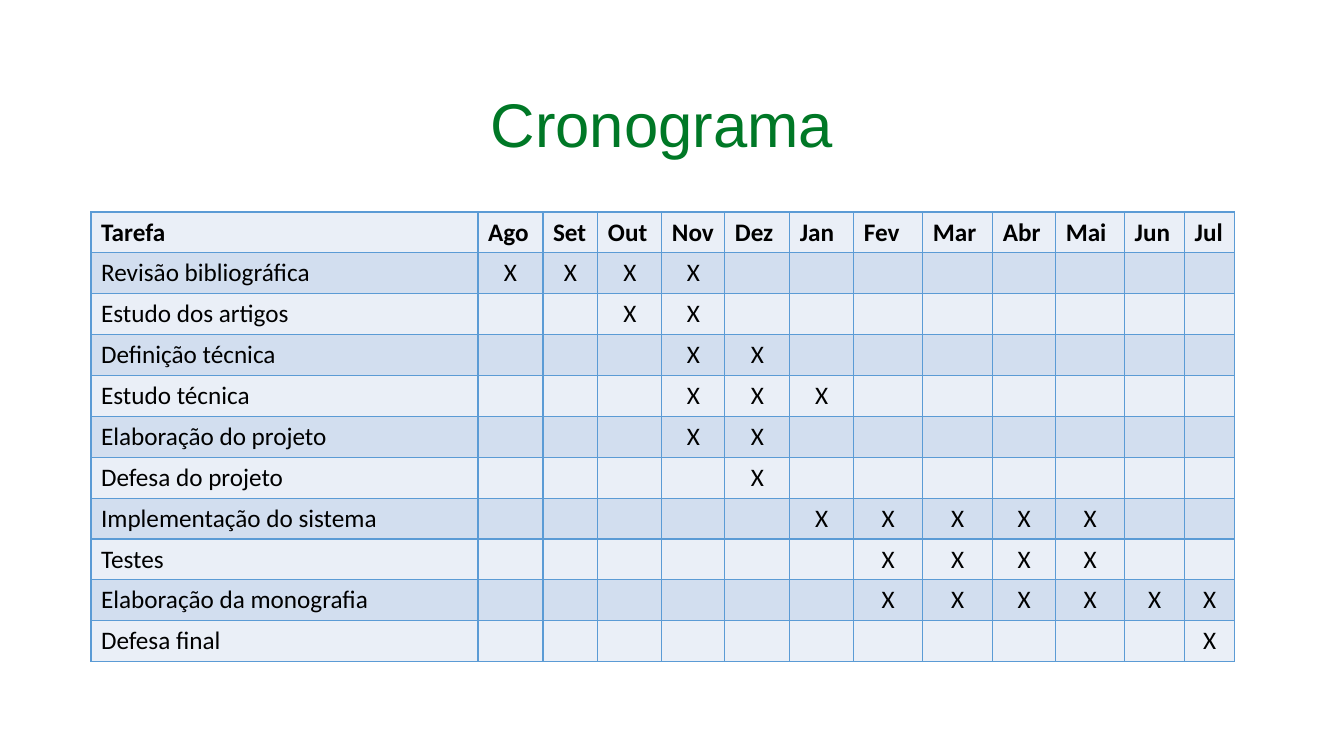
import pptx
import pptx.dml.color
import pptx.enum.text
import pptx.oxml
import pptx.oxml.ns
import pptx.util

TITLE = "Cronograma"
TITLE_BOX = (162, 58, 1000, 139)
MONTHS = ["Ago", "Set", "Out", "Nov", "Dez", "Jan", "Fev", "Mar", "Abr", "Mai", "Jun", "Jul"]
TASKS = [
    ("Revisão bibliográfica", "Ago", "Nov"),
    ("Estudo dos artigos", "Out", "Nov"),
    ("Definição técnica", "Nov", "Dez"),
    ("Estudo técnica", "Nov", "Jan"),
    ("Elaboração do projeto", "Nov", "Dez"),
    ("Defesa do projeto", "Dez", "Dez"),
    ("Implementação do sistema", "Jan", "Mai"),
    ("Testes", "Fev", "Mai"),
    ("Elaboração da monografia", "Fev", "Jul"),
    ("Defesa final", "Jul", "Jul"),
]
TABLE_BOX = (91, 212, 1144, 450)
COL_WIDTHS = [387, 65, 55, 64, 63, 65, 64, 69, 70, 63, 69, 60, 50]
BANDS = ("EAEFF7", "D2DEEF")
BORDER = "5B9BD5"
GREEN = "007826"
BLACK = "000000"


def px(n):
    return pptx.util.Emu(round(n * 914400 / 100.8))


def color(value):
    return pptx.dml.color.RGBColor.from_string(value)


def style(p, font, size, value, bold=False):
    for r in p.runs:
        r.font.name = font
        r.font.size = pptx.util.Pt(size)
        r.font.color.rgb = color(value)
        r.font.bold = bold


def add_borders(cell):
    tc_pr = cell._tc.get_or_add_tcPr()
    for side in ("lnL", "lnR", "lnT", "lnB"):
        tc_pr.append(pptx.oxml.parse_xml(
            f'<a:{side} {pptx.oxml.ns.nsdecls("a")} w="12700"><a:solidFill>'
            f'<a:srgbClr val="{BORDER}"/></a:solidFill></a:{side}>'))


def task_row(name, first, last):
    start, end = MONTHS.index(first), MONTHS.index(last)
    return [name] + ["X" if start <= i <= end else "" for i in range(len(MONTHS))]


def add_title(slide):
    tf = slide.shapes.add_textbox(*map(px, TITLE_BOX)).text_frame
    tf.word_wrap = True
    tf.vertical_anchor = pptx.enum.text.MSO_ANCHOR.MIDDLE
    p = tf.paragraphs[0]
    p.text = TITLE
    p.alignment = pptx.enum.text.PP_ALIGN.CENTER
    p.line_spacing = 0.9
    style(p, "Arial", 44, GREEN)


def add_schedule(slide):
    rows = [["Tarefa"] + MONTHS] + [task_row(*task) for task in TASKS]
    table = slide.shapes.add_table(len(rows), len(COL_WIDTHS), *map(px, TABLE_BOX)).table
    table.first_row = False
    table.horz_banding = False
    for col, width in zip(table.columns, COL_WIDTHS):
        col.width = px(width)
    for i, row in enumerate(rows):
        table.rows[i].height = px(TABLE_BOX[3] / len(rows))
        for j, text in enumerate(row):
            cell = table.cell(i, j)
            add_borders(cell)
            cell.fill.solid()
            cell.fill.fore_color.rgb = color(BANDS[i % 2])
            p = cell.text_frame.paragraphs[0]
            p.text = text
            if text == "X":
                p.alignment = pptx.enum.text.PP_ALIGN.CENTER
            style(p, "Calibri", 18, BLACK, bold=i == 0)


def main():
    prs = pptx.Presentation()
    prs.slide_width, prs.slide_height = px(1344), px(756)
    slide = prs.slides.add_slide(prs.slide_layouts[6])
    add_title(slide)
    add_schedule(slide)
    prs.save("out.pptx")


if __name__ == "__main__":
    main()
